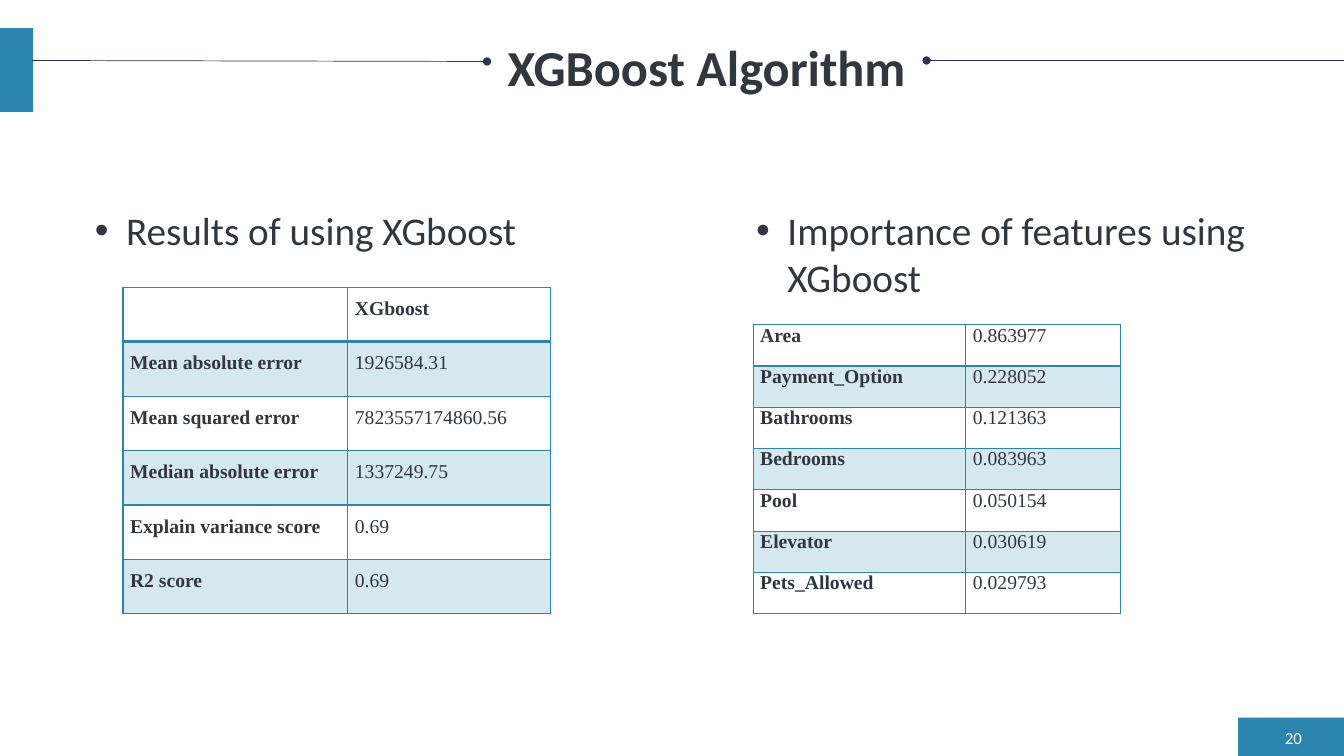
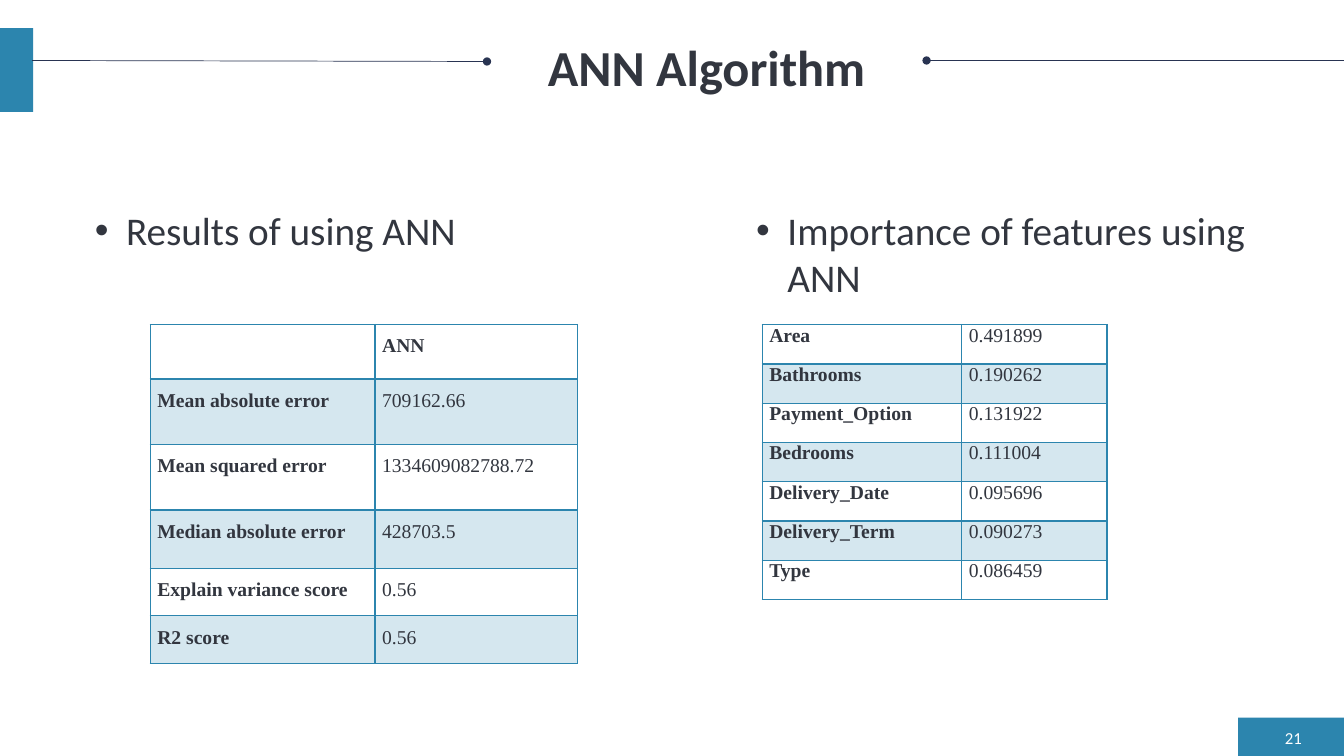
from dataclasses import dataclass

from lxml.etree import SubElement
from pptx import Presentation
from pptx.dml.color import RGBColor
from pptx.enum.shapes import MSO_CONNECTOR, MSO_SHAPE
from pptx.enum.text import MSO_ANCHOR, MSO_AUTO_SIZE, PP_ALIGN
from pptx.oxml import parse_xml
from pptx.oxml.ns import nsdecls, qn
from pptx.util import Inches, Pt


@dataclass(frozen=True)
class Theme:
    accent: RGBColor = RGBColor.from_string("2C85AE")
    tint: RGBColor = RGBColor.from_string("D5E7EF")
    ink: RGBColor = RGBColor.from_string("32363F")
    rule: RGBColor = RGBColor.from_string("293452")
    white: RGBColor = RGBColor.from_string("FFFFFF")
    sans: str = "Calibri"
    serif: str = "Times New Roman"
    title_size: int = 36
    list_size: int = 28
    table_size: int = 14
    number_size: int = 12


class Deck:
    def __init__(self, theme):
        self.theme = theme
        self.presentation = Presentation()
        self.presentation.slide_width = Inches(13.33)
        self.presentation.slide_height = Inches(7.5)
        self.slide = None

    def style(self, paragraph, size, color, name=None, bold=False):
        font = paragraph.font
        font.name = name or self.theme.sans
        font.size = Pt(size)
        font.bold = bold
        font.color.rgb = color

    def place(self, shape, left, top, width, height):
        shape.left, shape.top = Inches(left), Inches(top)
        shape.width, shape.height = Inches(width), Inches(height)

    def new_slide(self, title, number):
        layout = self.presentation.slide_layouts.get_by_name("Two Content")
        self.slide = self.presentation.slides.add_slide(layout)
        self.band(12.28, 7.12, 1.05, 0.38)
        self.band(0, 0.28, 0.33, 0.83)
        self.title(title)
        self.page_number(number)
        self.rule((0.32, 0.6), (4.83, 0.61), "a:tailEnd")
        self.rule((9.19, 0.6), (13.33, 0.6), "a:headEnd")

    def band(self, left, top, width, height):
        shape = self.slide.shapes.add_shape(
            MSO_SHAPE.RECTANGLE, Inches(left), Inches(top), Inches(width), Inches(height)
        )
        shape.shadow.inherit = False
        shape.fill.solid()
        shape.fill.fore_color.rgb = self.theme.accent
        shape.line.fill.background()

    def title(self, text):
        shape = self.slide.shapes.title
        self.place(shape, 0.41, 0.28, 12.6, 0.83)
        frame = shape.text_frame
        frame.text = text
        frame.auto_size = MSO_AUTO_SIZE.NONE
        frame.vertical_anchor = MSO_ANCHOR.MIDDLE
        frame.margin_left = Inches(0.7)
        paragraph = frame.paragraphs[0]
        paragraph.alignment = PP_ALIGN.CENTER
        paragraph.line_spacing = 0.9
        self.style(paragraph, self.theme.title_size, self.theme.ink, bold=True)

    def page_number(self, number):
        shape = self.slide.shapes.add_textbox(
            Inches(12.6), Inches(7.2), Inches(0.41), Inches(0.23)
        )
        frame = shape.text_frame
        frame.text = str(number)
        frame.word_wrap = True
        frame.vertical_anchor = MSO_ANCHOR.MIDDLE
        paragraph = frame.paragraphs[0]
        paragraph.alignment = PP_ALIGN.RIGHT
        self.style(paragraph, self.theme.number_size, self.theme.white)

    def rule(self, start, end, dot_end):
        connector = self.slide.shapes.add_connector(
            MSO_CONNECTOR.STRAIGHT, *(Inches(value) for value in (*start, *end))
        )
        connector.line.color.rgb = self.theme.rule
        connector.line.width = Pt(0.5)
        properties = connector._element.spPr
        SubElement(properties.find(qn("a:ln")), qn(dot_end), type="oval")
        SubElement(properties, qn("a:effectLst"))

    def bullet(self, index, text, left, top, width, height):
        shape = self.slide.placeholders[index]
        self.place(shape, left, top, width, height)
        frame = shape.text_frame
        frame.text = text
        frame.auto_size = MSO_AUTO_SIZE.NONE
        paragraph = frame.paragraphs[0]
        properties = paragraph._p.get_or_add_pPr()
        properties.set("marL", str(Inches(0.31)))
        properties.set("indent", str(-Inches(0.31)))
        paragraph.space_before = Pt(0)
        SubElement(properties, qn("a:buChar"), char="•")
        self.style(paragraph, self.theme.list_size, self.theme.ink)

    def table(self, rows, left, top, widths, heights, spacing=1.0):
        shape = self.slide.shapes.add_table(
            len(rows), len(widths), Inches(left), Inches(top),
            Inches(sum(widths)), Inches(sum(heights)),
        )
        table = shape.table
        table.first_row = table.horz_banding = False
        for column, width in zip(table.columns, widths):
            column.width = Inches(width)
        for row, height in zip(table.rows, heights):
            row.height = Inches(height)
        for row_index, values in enumerate(rows):
            for column_index, value in enumerate(values):
                self.cell(table.cell(row_index, column_index), value, row_index,
                          row_index == 0 and spacing > 1 or column_index == 0, spacing)

    def cell(self, cell, text, row_index, bold, spacing):
        cell.text = text
        cell.margin_left = cell.margin_right = Inches(0.07)
        cell.margin_top = cell.margin_bottom = 0
        paragraph = cell.text_frame.paragraphs[0]
        paragraph.line_spacing = spacing
        self.style(paragraph, self.theme.table_size, self.theme.ink, self.theme.serif, bold)
        cell.fill.solid()
        cell.fill.fore_color.rgb = self.theme.tint if row_index % 2 else self.theme.white
        widths = {"L": 1, "R": 1, "T": 2 if row_index == 1 else 1, "B": 2 if row_index == 0 else 1}
        properties = cell._tc.get_or_add_tcPr()
        for position, (side, width) in enumerate(widths.items()):
            properties.insert(position, parse_xml(
                f'<a:ln{side} {nsdecls("a")} w="{Pt(width)}"><a:solidFill>'
                f'<a:srgbClr val="{self.theme.accent}"/></a:solidFill></a:ln{side}>'
            ))

    def algorithm(self, number, title, name, scores, features, score_grid, feature_grid):
        self.new_slide(title, number)
        self.bullet(1, f"Results of using {name}", 0.84, 2, 4.46, 0.57)
        self.bullet(2, f"Importance of features using {name}", 7.4, 2, 5.2, 1.04)
        score_rows = [("", name), *zip(METRICS, scores)]
        self.table(score_rows, widths=(2.23, 2.01), spacing=1.5, **score_grid)
        self.table(features, top=3.22, **feature_grid)


METRICS = (
    "Mean absolute error",
    "Mean squared error",
    "Median absolute error",
    "Explain variance score",
    "R2 score",
)


def main():
    deck = Deck(Theme())
    deck.algorithm(
        20, "XGBoost Algorithm", "XGboost",
        ("1926584.31", "7823557174860.56", "1337249.75", "0.69", "0.69"),
        (
            ("Area", "0.863977"),
            ("Payment_Option", "0.228052"),
            ("Bathrooms", "0.121363"),
            ("Bedrooms", "0.083963"),
            ("Pool", "0.050154"),
            ("Elevator", "0.030619"),
            ("Pets_Allowed", "0.029793"),
        ),
        {"left": 1.22, "top": 2.85, "heights": (0.54,) * 6},
        {"left": 7.47, "widths": (2.11, 1.53), "heights": (0.41,) * 7},
    )
    deck.algorithm(
        21, "ANN Algorithm", "ANN",
        ("709162.66", "1334609082788.72", "428703.5", "0.56", "0.56"),
        (
            ("Area", "0.491899"),
            ("Bathrooms", "0.190262"),
            ("Payment_Option", "0.131922"),
            ("Bedrooms", "0.111004"),
            ("Delivery_Date", "0.095696"),
            ("Delivery_Term", "0.090273"),
            ("Type", "0.086459"),
        ),
        {"left": 1.49, "top": 3.22, "heights": (0.54, 0.65, 0.65, 0.58, 0.47, 0.47)},
        {"left": 7.56, "widths": (1.98, 1.44), "heights": (0.39,) * 7},
    )
    deck.presentation.save("out.pptx")


if __name__ == "__main__":
    main()
